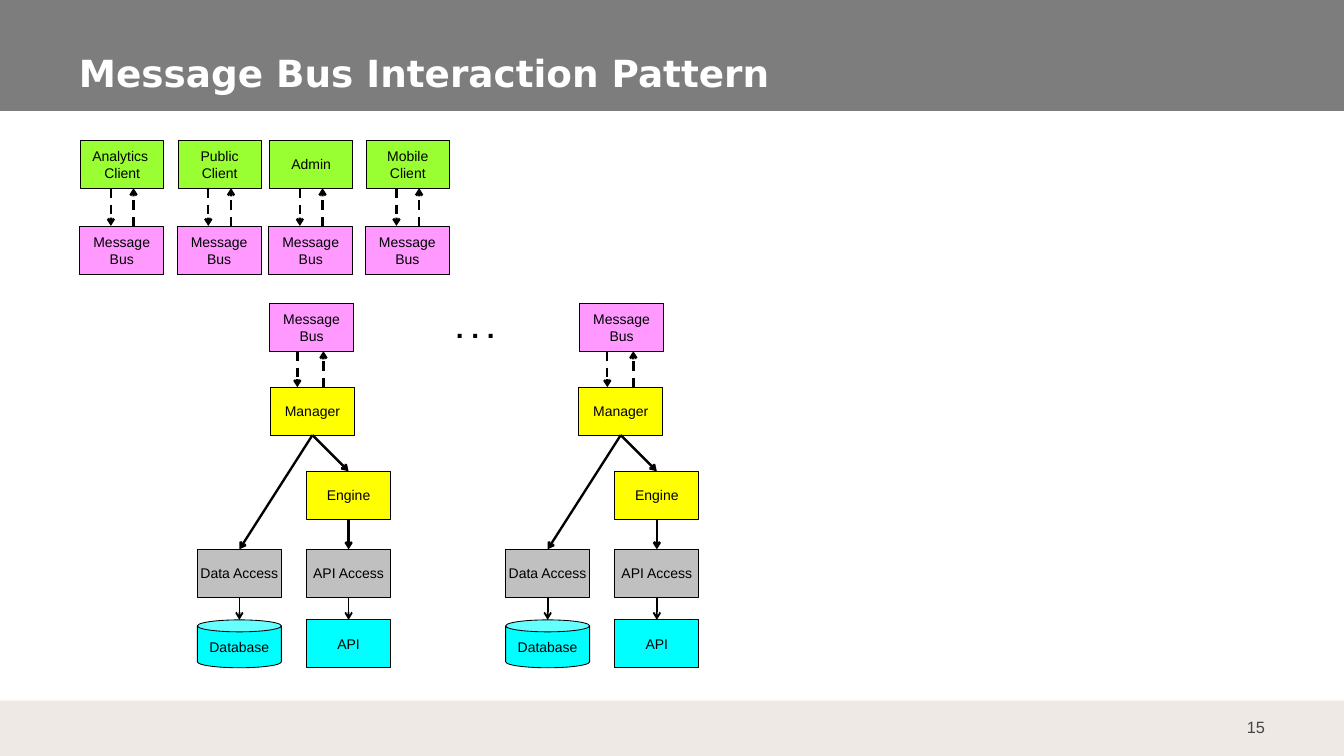
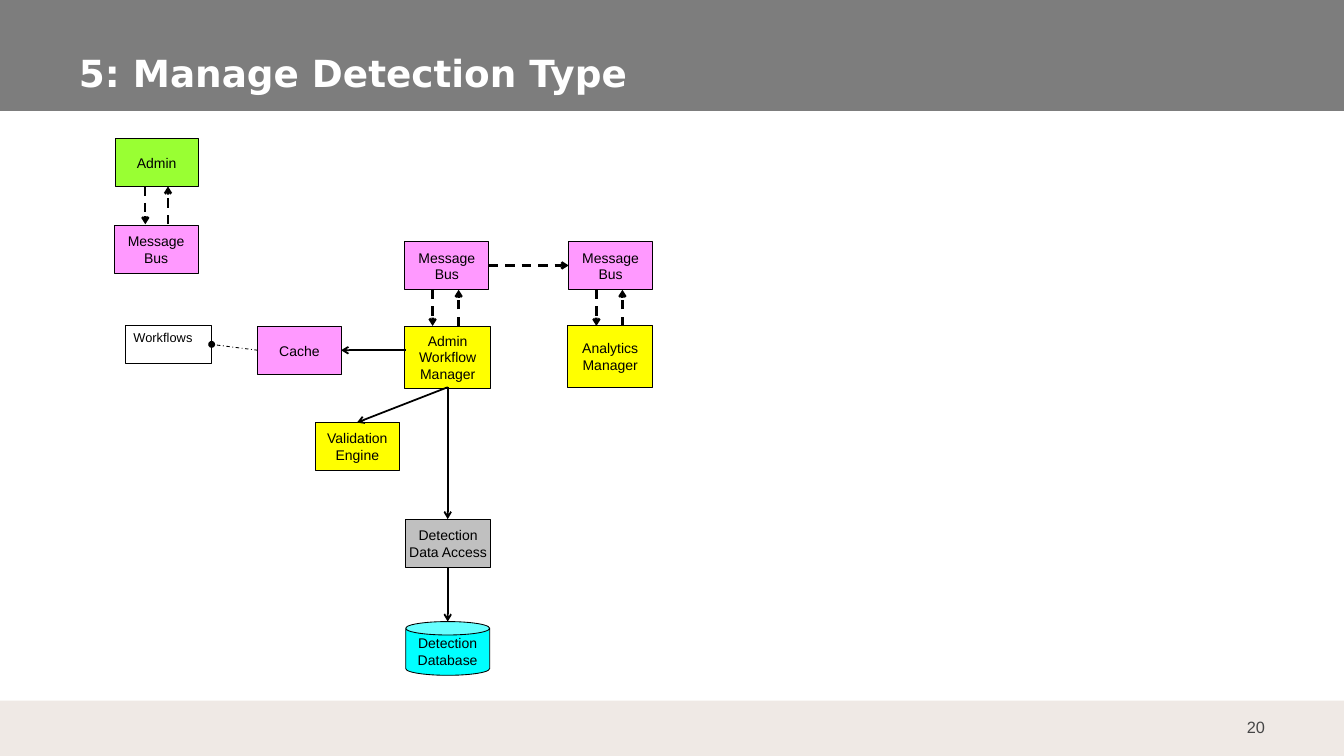
"""Build two slides of message bus architecture diagrams."""
from lxml.etree import SubElement
from pptx import Presentation
from pptx.dml.color import RGBColor
from pptx.enum.dml import MSO_LINE
from pptx.enum.shapes import MSO_CONNECTOR, MSO_SHAPE
from pptx.enum.text import MSO_ANCHOR, PP_ALIGN
from pptx.oxml.ns import qn
from pptx.util import Inches, Pt

BLACK = RGBColor(0x00, 0x00, 0x00)
WHITE = RGBColor(0xFF, 0xFF, 0xFF)
BAND = RGBColor(0x7D, 0x7D, 0x7D)
FOOTER = RGBColor(0xEF, 0xE9, 0xE5)
NUMBER = RGBColor(0x46, 0x46, 0x46)
GREEN = RGBColor(0x99, 0xFF, 0x33)
PINK = RGBColor(0xFF, 0x99, 0xFF)
YELLOW = RGBColor(0xFF, 0xFF, 0x00)
GRAY = RGBColor(0xC0, 0xC0, 0xC0)
CYAN = RGBColor(0x00, 0xFF, 0xFF)

prs = Presentation()
prs.slide_width, prs.slide_height = Inches(16), Inches(9)
COL, ROW = prs.slide_width / 16, prs.slide_height / 9
BOX_W, BOX_H = 1, 0.57


def add_box(s, text, x, y, w=BOX_W, h=BOX_H, fill=None, line=0.75, kind=MSO_SHAPE.RECTANGLE,
            size=12, font="Arial", color=BLACK, bold=False, align=PP_ALIGN.CENTER,
            anchor=MSO_ANCHOR.MIDDLE, inset=(0.1, 0.05), wrap=False):
    at = [int(x * COL), int(y * ROW), int(w * COL), int(h * ROW)]
    if fill is None:
        sp = s.shapes.add_textbox(*at)
    else:
        sp = s.shapes.add_shape(kind, *at)
        sp.shadow.inherit = False
        sp.fill.solid()
        sp.fill.fore_color.rgb = fill
        if line:
            sp.line.color.rgb = BLACK
            sp.line.width = Pt(line)
        else:
            sp.line.fill.background()
    tf = sp.text_frame
    tf.word_wrap, tf.vertical_anchor = wrap, anchor
    tf.margin_left = tf.margin_right = Inches(inset[0])
    tf.margin_top = tf.margin_bottom = Inches(inset[1])
    for i, words in enumerate(text.split("\n") if text else []):
        p = tf.paragraphs[0] if i == 0 else tf.add_paragraph()
        p.alignment = align
        r = p.add_run()
        r.text = words
        r.font.size, r.font.name, r.font.bold = Pt(size), font, bold
        r.font.color.rgb = color


def add_link(s, x1, y1, x2, y2, width=2, dash=None, head="arrow"):
    c = s.shapes.add_connector(MSO_CONNECTOR.STRAIGHT, int(x1 * COL), int(y1 * ROW),
                               int(x2 * COL), int(y2 * ROW))
    c.line.color.rgb = BLACK
    c.line.width = Pt(width)
    if dash:
        c.line.dash_style = dash
    spPr = c._element.spPr
    SubElement(spPr.find(qn("a:ln")), qn("a:tailEnd"), type=head)
    SubElement(spPr, qn("a:effectLst"))


slides = []
for title, number in [("Message Bus Interaction Pattern", "15"), ("5: Manage Detection Type", "20")]:
    s = prs.slides.add_slide(prs.slide_layouts[6])
    add_box(s, "", -0.02, 0, 16.05, 1.32, fill=BAND, line=0)
    add_box(s, "", 0, 8.34, 16, 0.66, fill=FOOTER, line=0)
    add_box(s, number, 14.4, 8.42, 0.8, 0.48, size=14, color=NUMBER, align=PP_ALIGN.RIGHT,
            inset=(0.14, 0.07), wrap=True)
    add_box(s, title, 0.8, 0.46, 14.21, 0.74, size=32, font="DejaVu Sans", color=WHITE, bold=True,
            align=PP_ALIGN.LEFT, anchor=MSO_ANCHOR.BOTTOM, inset=(0.14, 0.07), wrap=True)
    slides.append(s)
pattern, detection = slides

clients = [(pattern, "Analytics \nClient", 0.95, 1.67), (pattern, "Public\nClient", 2.11, 1.67),
           (pattern, "Admin", 3.2, 1.67), (pattern, "Mobile\nClient", 4.35, 1.67),
           (detection, "Admin", 1.36, 1.65)]
for s, name, x, y in clients:
    add_box(s, name, x + 0.01, y, w=0.99, fill=GREEN)
    add_box(s, "Message\nBus", x, y + 1.03, fill=PINK)
    add_link(s, x + 0.37, y + BOX_H, x + 0.37, y + 1.02, dash=MSO_LINE.DASH)
    add_link(s, x + 0.64, y + 1.02, x + 0.64, y + BOX_H, dash=MSO_LINE.DASH)

for s, x, y in [(pattern, 3.21, 3.61), (pattern, 6.9, 3.61),
                (detection, 4.82, 2.88), (detection, 6.77, 2.88)]:
    add_box(s, "Message\nBus", x, y, fill=PINK)
    add_link(s, x + 0.33, y + BOX_H, x + 0.33, y + 1, dash=MSO_LINE.DASH)
    add_link(s, x + 0.64, y + 1, x + 0.64, y + BOX_H, dash=MSO_LINE.DASH)

for x in (3.22, 6.89):
    mid, left, right = x + BOX_W / 2, x - 0.87, x + 0.43
    left_mid, right_mid = left + BOX_W / 2, right + BOX_W / 2
    add_box(pattern, "Manager", x, 4.61, fill=YELLOW)
    add_box(pattern, "Engine", right, 5.61, fill=YELLOW)
    add_box(pattern, "Data Access", left, 6.54, fill=GRAY)
    add_box(pattern, "API Access", right, 6.54, fill=GRAY)
    add_box(pattern, "Database", left, 7.38, fill=CYAN, kind=MSO_SHAPE.CAN)
    add_box(pattern, "API", right, 7.38, fill=CYAN)
    add_link(pattern, mid, 5.18, right_mid, 5.61)
    add_link(pattern, mid, 5.18, left_mid, 6.54)
    add_link(pattern, right_mid, 6.18, right_mid, 6.54)
    for store_mid in (left_mid, right_mid):
        add_link(pattern, store_mid, 7.11, store_mid, 7.38, width=1.5)
add_box(pattern, ". . .", 5.33, 3.65, 0.74, 0.5, size=24, bold=True, align=PP_ALIGN.LEFT,
        anchor=MSO_ANCHOR.TOP, wrap=True)

add_box(detection, "Admin\nWorkflow\nManager", 4.82, 3.89, 1.02, 0.73, fill=YELLOW)
add_box(detection, "Analytics\nManager", 6.76, 3.87, 1.01, 0.74, fill=YELLOW)
add_box(detection, "Validation\nEngine", 3.75, 5.03, 1.01, fill=YELLOW)
add_box(detection, "Detection\nData Access", 4.83, 6.18, 1.01, fill=GRAY)
add_box(detection, "Detection\nDatabase", 4.83, 7.4, h=0.64, fill=CYAN, kind=MSO_SHAPE.CAN)
add_box(detection, "Cache", 3.07, 3.89, 0.99, fill=PINK)
add_box(detection, "Workflows", 1.49, 3.88, 1.03, 0.45, fill=WHITE, line=1, size=11,
        align=PP_ALIGN.LEFT, anchor=MSO_ANCHOR.TOP, wrap=True)
for ends in [(5.33, 4.61, 4.25, 5.03), (5.33, 4.61, 5.33, 6.18),
             (5.33, 6.75, 5.33, 7.4), (4.83, 4.17, 4.06, 4.17)]:
    add_link(detection, *ends, width=1.5)
add_link(detection, 5.82, 3.16, 6.77, 3.16, dash=MSO_LINE.DASH)
add_link(detection, 3.07, 4.17, 2.52, 4.1, width=0.75, dash=MSO_LINE.DASH_DOT, head="oval")

prs.save("out.pptx")
